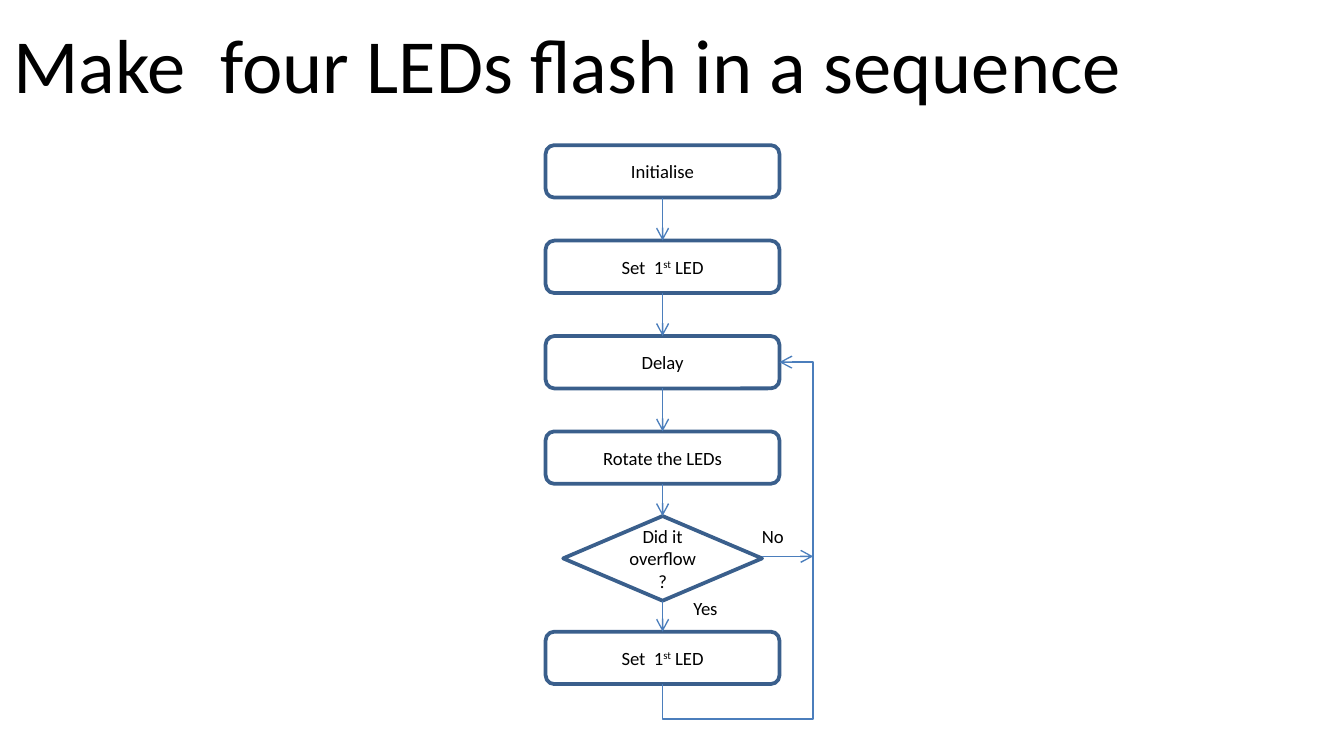
from itertools import pairwise

from lxml.etree import SubElement
from pptx import Presentation
from pptx.dml.color import RGBColor
from pptx.enum.shapes import MSO_CONNECTOR as LINK, MSO_SHAPE as SHAPE
from pptx.enum.text import MSO_ANCHOR as ANCHOR, MSO_AUTO_SIZE as FIT, PP_ALIGN as ALIGN
from pptx.oxml.ns import qn
from pptx.util import Inches, Pt

COLORS = {"text": "000000", "fill": "FFFFFF", "border": "3A5F8C", "arrow": "4B7EBC"}
FONT = "Calibri"
CENTER = 4.93
STEP_WIDTH, STEP_HEIGHT = 1.74, 0.39
FIRST_TOP, PITCH = 1.08, 0.71
DECISION_TOP, DECISION_WIDTH, DECISION_HEIGHT = 3.84, 1.48, 0.63
RESET_TOP = 4.70
LOOP_X, LOOP_BOTTOM = 6.05, 5.35


class Flowchart:
    def __init__(self, page, size=10):
        self.page = page
        self.size = size

    def style_text(self, frame, size=None):
        for para in frame.paragraphs:
            for span in para.runs:
                span.font.name = FONT
                span.font.size = Pt(size or self.size)
                span.font.color.rgb = RGBColor.from_string(COLORS["text"])

    def title(self, text):
        box = self.page.shapes.title
        box.left, box.top, box.width, box.height = map(Inches, (0, 0, 9, 0.94))
        frame = box.text_frame
        frame.text = text
        frame.auto_size = FIT.NONE
        frame.vertical_anchor = ANCHOR.MIDDLE
        frame.paragraphs[0].alignment = ALIGN.LEFT
        self.style_text(frame, 41)

    def node(self, kind, top, width, height, spans):
        """Draw a centred node; every second span is superscript."""
        shape = self.page.shapes.add_shape(
            kind, Inches(CENTER - width / 2), Inches(top), Inches(width), Inches(height))
        shape.shadow.inherit = False
        shape.fill.solid()
        shape.fill.fore_color.rgb = RGBColor.from_string(COLORS["fill"])
        shape.line.color.rgb = RGBColor.from_string(COLORS["border"])
        shape.line.width = Pt(2)
        frame = shape.text_frame
        frame.word_wrap = True
        frame.vertical_anchor = ANCHOR.MIDDLE
        para = frame.paragraphs[0]
        para.alignment = ALIGN.CENTER
        for index, text in enumerate(spans):
            span = para.add_run()
            span.text = text
            if index % 2:
                span._r.get_or_add_rPr().set("baseline", "30000")
        self.style_text(frame)

    def arrow(self, start, end, kind=LINK.STRAIGHT):
        link = self.page.shapes.add_connector(kind, *map(Inches, (*start, *end)))
        link.line.color.rgb = RGBColor.from_string(COLORS["arrow"])
        link.line.width = Pt(0.75)
        SubElement(link.line._get_or_add_ln(), qn("a:tailEnd"), type="arrow")
        SubElement(link._element.spPr, qn("a:effectLst"))
        return link

    def loop_back(self, start, end):
        """Run down, right, up and left as one bent connector turned by 90 degrees."""
        (x1, y1), (x2, y2) = start, end
        mid_x, mid_y = (x1 + x2) / 2, (y1 + y2) / 2
        rise, run = y1 - y2, x2 - x1
        link = self.arrow((mid_x + rise / 2, mid_y + run / 2),
                          (mid_x - rise / 2, mid_y - run / 2), LINK.ELBOW)
        properties = link._element.spPr
        properties.find(qn("a:xfrm")).set("rot", str(90 * 60000))
        geometry = properties.find(qn("a:prstGeom"))
        geometry.set("prst", "bentConnector4")
        guides = geometry.find(qn("a:avLst"))
        ratios = (y1 - LOOP_BOTTOM) / rise, (LOOP_X - x1) / run
        for number, ratio in enumerate(ratios, 1):
            SubElement(guides, qn("a:gd"), name=f"adj{number}",
                       fmla=f"val {round(ratio * 100000)}")

    def label(self, text, left, top, width):
        box = self.page.shapes.add_textbox(*map(Inches, (left, top, width, 0.27)))
        frame = box.text_frame
        frame.text = text
        frame.word_wrap = False
        frame.auto_size = FIT.SHAPE_TO_FIT_TEXT
        self.style_text(frame)


def main():
    deck = Presentation()
    deck.slide_width = Inches(10)
    deck.slide_height = deck.slide_width * 9 // 16
    chart = Flowchart(deck.slides.add_slide(deck.slide_layouts[5]))
    chart.title("Make  four LEDs flash in a sequence")

    set_first = ("Set  1", "st", " LED")
    steps = [("Initialise",), set_first, ("Delay",), ("Rotate the LEDs",)]
    step = (SHAPE.FLOWCHART_ALTERNATE_PROCESS, STEP_WIDTH, STEP_HEIGHT)
    decision = (SHAPE.FLOWCHART_DECISION, DECISION_WIDTH, DECISION_HEIGHT)
    nodes = [(FIRST_TOP + row * PITCH, step, spans) for row, spans in enumerate(steps)]
    nodes += [(DECISION_TOP, decision, ("Did it overflow ?",)), (RESET_TOP, step, set_first)]

    for top, (kind, width, height), spans in nodes:
        chart.node(kind, top, width, height, spans)
    for (top, (_, _, height), _), (next_top, _, _) in pairwise(nodes):
        chart.arrow((CENTER, top + height), (CENTER, next_top))

    delay_middle = FIRST_TOP + 2 * PITCH + STEP_HEIGHT / 2
    chart.loop_back((CENTER, RESET_TOP + STEP_HEIGHT),
                    (CENTER + STEP_WIDTH / 2, delay_middle))
    chart.arrow((CENTER + DECISION_WIDTH / 2, 4.14), (LOOP_X, 4.14))
    chart.label("No", 5.57, 3.86, 0.37)
    chart.label("Yes", 5.06, 4.39, 0.39)
    deck.save("out.pptx")


if __name__ == "__main__":
    main()
